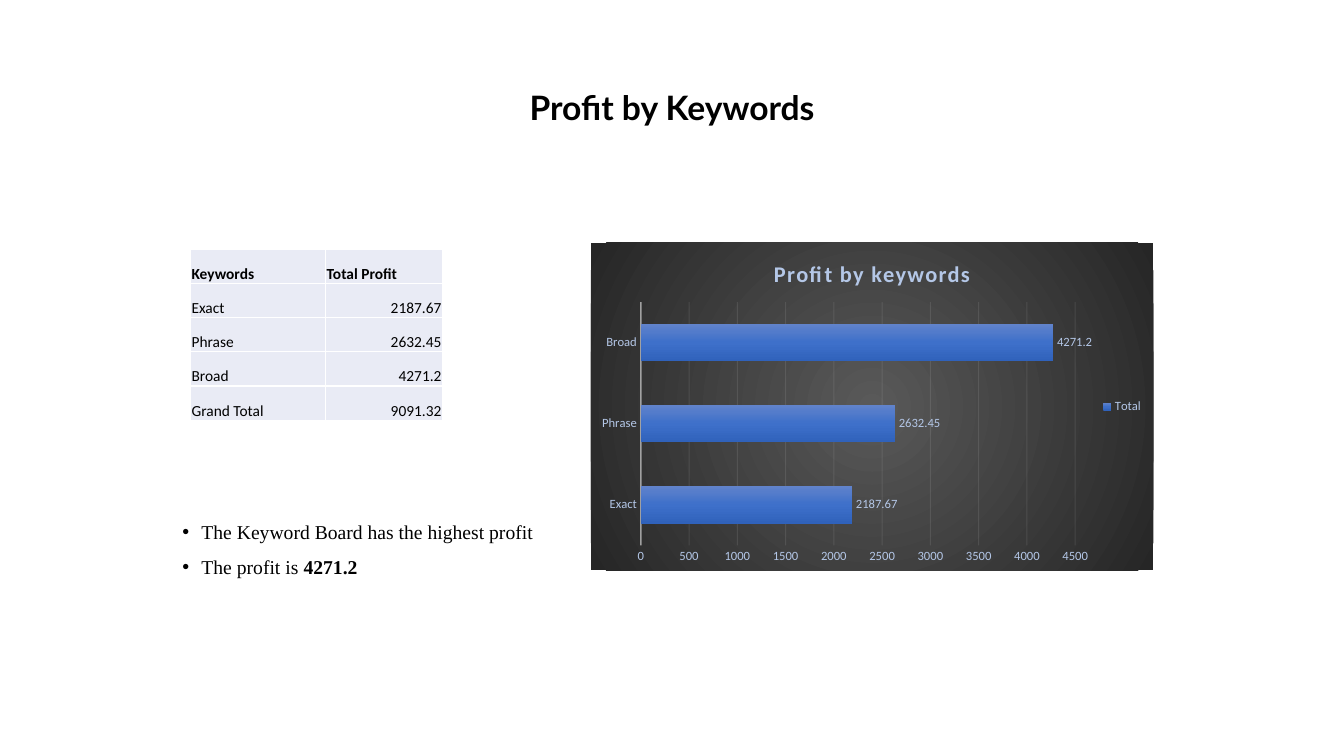
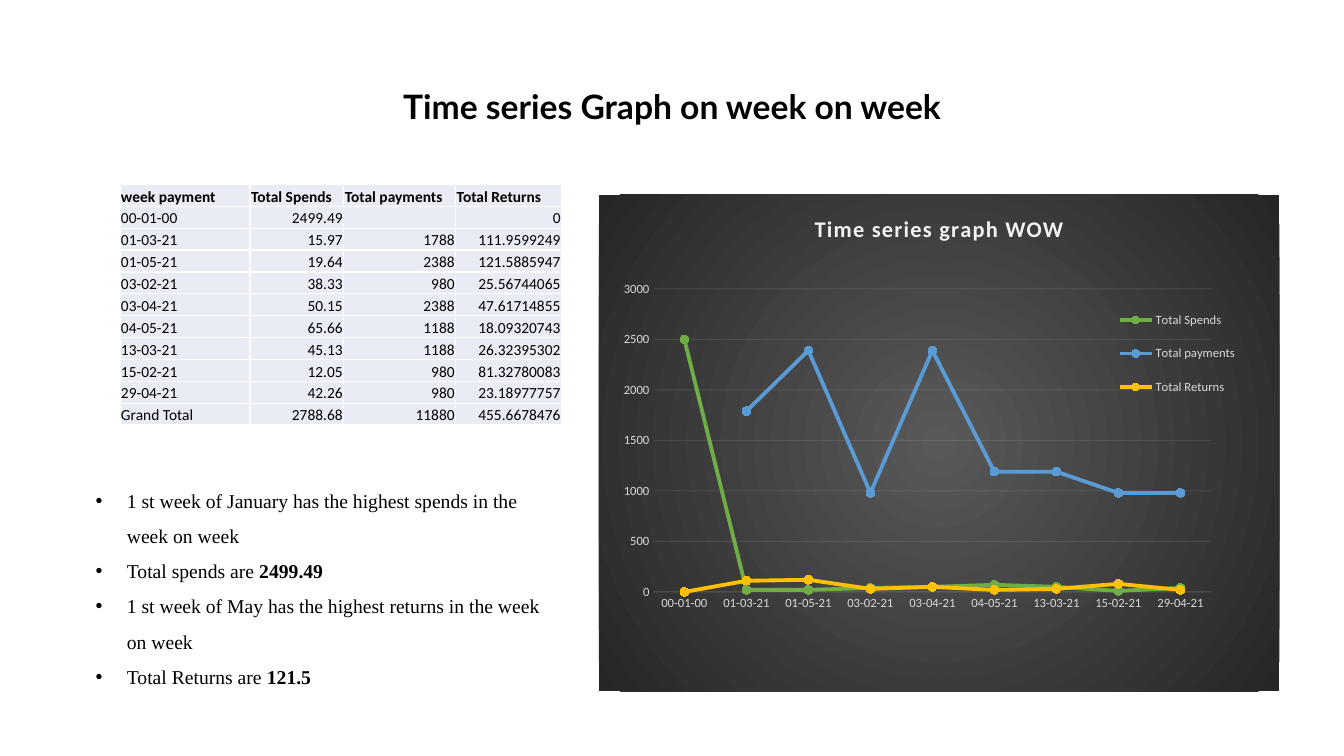
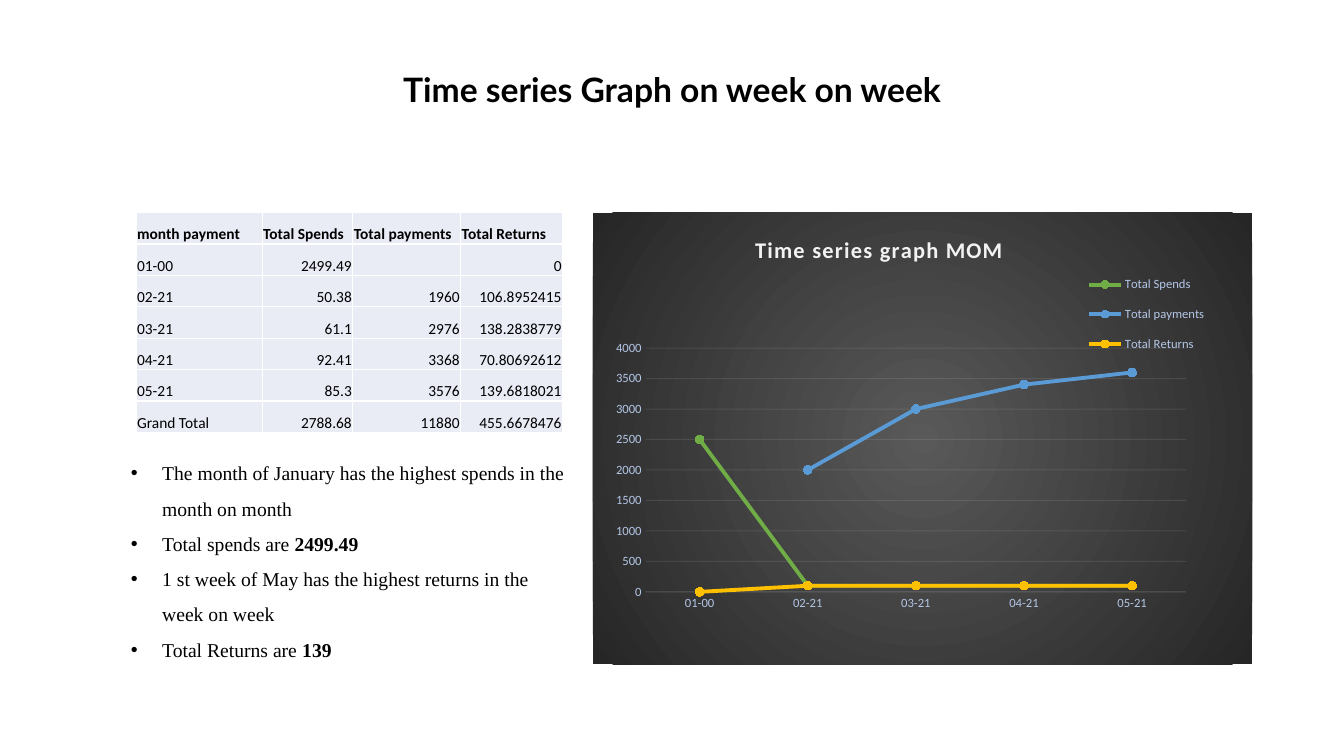
from lxml.etree import SubElement
from pptx import Presentation
from pptx.chart.data import CategoryChartData
from pptx.dml.color import RGBColor
from pptx.enum.chart import XL_CHART_TYPE as CT, XL_LABEL_POSITION as LP
from pptx.enum.chart import XL_LEGEND_POSITION as LEGEND, XL_MARKER_STYLE as MARKER
from pptx.enum.chart import XL_TICK_MARK as TICK
from pptx.enum.text import MSO_ANCHOR as ANCHOR, PP_ALIGN as ALIGN
from pptx.oxml import parse_xml
from pptx.oxml.ns import nsdecls, qn
from pptx.util import Inches, Pt

COLORS = {
    "text": "000000", "cell": "E9EBF5", "border": "FFFFFF", "pale": "F2F2F2",
    "grey": "D9D9D9", "blue": "B4C7E7",
}
BACKDROP = [(0, "595959"), (100, "262626")]
BAR_STOPS = [(0, "6183CB"), (50, "3E70CA"), (100, "3062BB")]
LINE_COLORS = [("70AD47", "6FB242"), ("5B9BD5", "559BDB"), ("FFC000", "FFC000")]
CENTRE = '<a:path path="circle"><a:fillToRect l="50000" t="50000" r="50000" b="50000"/></a:path>'
DOWNWARD = '<a:lin ang="5400000" scaled="0"/>'

KEYWORDS = [
    ("Keywords", "Total Profit"),
    ("Exact", 2187.67),
    ("Phrase", 2632.45),
    ("Broad", 4271.2),
    ("Grand Total", 9091.32),
]
TOTALS = ("Total Spends", "Total payments", "Total Returns")
GRAND_TOTAL = ("Grand Total", 2788.68, 11880, 455.6678476)
WEEKS = [
    ("week payment", *TOTALS),
    ("00-01-00", 2499.49, None, 0),
    ("01-03-21", 15.97, 1788, 111.9599249),
    ("01-05-21", 19.64, 2388, 121.5885947),
    ("03-02-21", 38.33, 980, 25.56744065),
    ("03-04-21", 50.15, 2388, 47.61714855),
    ("04-05-21", 65.66, 1188, 18.09320743),
    ("13-03-21", 45.13, 1188, 26.32395302),
    ("15-02-21", 12.05, 980, 81.32780083),
    ("29-04-21", 42.26, 980, 23.18977757),
    GRAND_TOTAL,
]
MONTHS = [
    ("month payment", *TOTALS),
    ("01-00", 2499.49, None, 0),
    ("02-21", 50.38, 1960, 106.8952415),
    ("03-21", 61.1, 2976, 138.2838779),
    ("04-21", 92.41, 3368, 70.80692612),
    ("05-21", 85.3, 3576, 139.6818021),
    GRAND_TOTAL,
]


def rgb(name):
    return RGBColor.from_string(COLORS.get(name, name))


def gradient(stops, direction):
    gs = "".join(f'<a:gs pos="{pos * 1000}"><a:srgbClr val="{color}"/></a:gs>'
                 for pos, color in stops)
    return parse_xml(f'<a:gradFill {nsdecls("a")} rotWithShape="1">'
                     f'<a:gsLst>{gs}</a:gsLst>{direction}</a:gradFill>')


def place(element, index, box, inner=False):
    """Give a chart part a manual layout, as fractions of the chart."""
    for old in element.findall(qn("c:layout")):
        element.remove(old)
    target = '<c:layoutTarget val="inner"/>' if inner else ""
    modes = "".join(f'<c:{k}Mode val="edge"/>' for k in "xy")
    values = "".join(f'<c:{k} val="{v}"/>' for k, v in zip("xywh", box))
    element.insert(index, parse_xml(
        f'<c:layout {nsdecls("c")}><c:manualLayout>{target}{modes}{values}'
        '</c:manualLayout></c:layout>'))


class Deck:
    def __init__(self):
        self.prs = Presentation()
        self.prs.slide_width, self.prs.slide_height = Inches(13.33), Inches(7.5)
        self.s = None

    def slide(self, title, top, height):
        self.s = self.prs.slides.add_slide(self.prs.slide_layouts[6])
        tf = self.textbox(0.92, top, 11.49, height)
        tf.vertical_anchor = ANCHOR.MIDDLE
        p = tf.paragraphs[0]
        p.alignment, p.line_spacing = ALIGN.CENTER, 0.9
        self.run(p, title, 24, "Lato", bold=True)

    def textbox(self, *box):
        tf = self.s.shapes.add_textbox(*map(Inches, box)).text_frame
        tf.word_wrap = True
        return tf

    def font(self, font, size, name="Calibri", color="text", bold=False):
        font.size, font.name, font.bold = Pt(size), name, bold
        font.color.rgb = rgb(color)

    def run(self, p, text, size, name="Calibri", color="text", bold=False):
        r = p.add_run()
        r.text = text
        self.font(r.font, size, name, color, bold)
        return r

    def bullets(self, box, indent, items):
        """Write bullets from (plain text, bold ending) pairs."""
        tf = self.textbox(*box)
        for i, (plain, strong) in enumerate(items):
            p = tf.add_paragraph() if i else tf.paragraphs[0]
            p.line_spacing = 1.5
            pPr = p._p.get_or_add_pPr()
            pPr.set("marL", str(Inches(indent)))
            pPr.set("indent", str(-Inches(indent)))
            SubElement(pPr, qn("a:buFont"), typeface="Arial")
            SubElement(pPr, qn("a:buChar"), char="•")
            self.run(p, plain, 14, "Times New Roman")
            if strong:
                self.run(p, strong, 14, "Times New Roman", bold=True)

    def table(self, left, top, widths, height, rows):
        table = self.s.shapes.add_table(
            len(rows), len(widths), Inches(left), Inches(top),
            Inches(sum(widths)), Inches(height)).table
        table.first_row = table.horz_banding = False
        for column, width in zip(table.columns, widths):
            column.width = Inches(width)
        for i, values in enumerate(rows):
            table.rows[i].height = Inches(height / len(rows))
            for j, value in enumerate(values):
                self.cell(table.cell(i, j), value, header=i == 0)

    def cell(self, cell, value, header):
        cell.margin_left = cell.margin_right = cell.margin_top = Inches(0.01)
        cell.margin_bottom = 0
        cell.vertical_anchor = ANCHOR.BOTTOM
        cell.fill.solid()
        cell.fill.fore_color.rgb = rgb("cell")
        for i, side in enumerate("LRTB"):
            cell._tc.get_or_add_tcPr().insert(i, parse_xml(
                f'<a:ln{side} {nsdecls("a")} w="12700"><a:solidFill>'
                f'<a:srgbClr val="{COLORS["border"]}"/></a:solidFill></a:ln{side}>'))
        p = cell.text_frame.paragraphs[0]
        if value is None:
            SubElement(p._p, qn("a:endParaRPr"), sz="1100")
            return
        if not isinstance(value, str):
            p.alignment = ALIGN.RIGHT
        self.run(p, str(value), 11, bold=header)

    def chart(self, kind, box, title, rows, names, digits, color, title_color):
        """Chart the rounded table rows between the header and the grand total."""
        data = CategoryChartData()
        labels, *columns = zip(*rows[1:-1])
        data.categories = labels
        for name, values in zip(names, columns):
            data.add_series(name, [None if v is None else round(v, digits) for v in values])
        chart = self.s.shapes.add_chart(kind, *map(Inches, box), data).chart
        self.font(chart.font, 10)
        spPr = parse_xml(f'<c:spPr {nsdecls("c", "a")}><a:ln><a:noFill/></a:ln></c:spPr>')
        spPr.insert(0, gradient(BACKDROP, CENTRE))
        chart._chartSpace.find(qn("c:chart")).addnext(spPr)

        chart.has_title = True
        p = chart.chart_title.text_frame.paragraphs[0]
        r = self.run(p, title, 16, color=title_color, bold=True)
        r._r.get_or_add_rPr().set("spc", "100")
        chart.has_legend = True
        chart.legend.position = LEGEND.RIGHT
        chart.legend.include_in_layout = False
        self.font(chart.legend.font, 9, color=color)
        self.axes(chart, color, bars=kind == CT.BAR_CLUSTERED)
        return chart

    def axes(self, chart, color, bars):
        category, value = chart.category_axis, chart.value_axis
        category.has_major_gridlines, value.has_major_gridlines = False, True
        value.format.line.fill.background()
        lines = [(category, category.format.line, 1 if bars else 0.75, 54 if bars else 10),
                 (value, value.major_gridlines.format.line, 0.75, 10)]
        for axis, line, width, opacity in lines:
            axis.major_tick_mark = axis.minor_tick_mark = TICK.NONE
            self.font(axis.tick_labels.font, 9, color=color)
            line.width = Pt(width)
            line.color.rgb = rgb("pale")
            for clr in axis._element.xpath(".//a:ln//a:srgbClr"):
                SubElement(clr, qn("a:alpha"), val=str(opacity * 1000))

    def bar_chart(self, box, title, rows):
        chart = self.chart(CT.BAR_CLUSTERED, box, title, rows, ["Total"], 2, "blue", "blue")
        plot = chart.plots[0]
        plot.gap_width, plot.overlap, plot.vary_by_categories = 115, -20, False
        plot.series[0]._element.get_or_add_spPr().insert(0, gradient(BAR_STOPS, DOWNWARD))
        plot.has_data_labels = True
        labels = plot.data_labels
        labels.show_value, labels.position = True, LP.OUTSIDE_END
        self.font(labels.font, 9, color="blue")

    def line_chart(self, box, title, rows, digits, color, plot_box, legend_box, title_at=None):
        chart = self.chart(CT.LINE_MARKERS, box, title, rows, TOTALS, digits, color, "pale")
        chart.plots[0].vary_by_categories = False
        for series, (line, fill) in zip(chart.plots[0].series, LINE_COLORS):
            series.smooth = False
            series.format.line.width = Pt(2.75)
            series.format.line.color.rgb = rgb(line)
            marker = series.marker
            marker.style, marker.size = MARKER.CIRCLE, 6
            marker.format.fill.solid()
            marker.format.fill.fore_color.rgb = rgb(fill)
            marker.format.line.color.rgb = rgb(line)
        place(chart._chartSpace.xpath(".//c:plotArea")[0], 0, plot_box, inner=True)
        place(chart.legend._element, 1, legend_box)
        if title_at:
            place(chart._chartSpace.xpath("./c:chart/c:title")[0], 1, title_at)


def main():
    deck = Deck()

    deck.slide("Profit by Keywords", 0.54, 1.1)
    deck.bar_chart((5.86, 2.41, 5.58, 3.25), "Profit by keywords", KEYWORDS)
    deck.table(1.89, 2.47, [1.34, 1.16], 1.7, KEYWORDS)
    deck.bullets((1.71, 4.99, 3.84, 0.77), 0.19, [
        ("The Keyword Board has the highest profit", ""),
        ("The profit is ", "4271.2"),
    ])

    returns = ("1 st week of May has the highest returns in the week on week", "")
    spends = ("Total spends are ", "2499.49")

    deck.slide("Time series Graph on week on week", 0.53, 1.1)
    deck.table(1.19, 1.83, [1.29, 0.93, 1.11, 1.05], 2.39, WEEKS)
    deck.line_chart((5.94, 1.93, 6.75, 4.93), "Time series graph WOW", WEEKS, -1, "grey",
                    (0.08, 0.19, 0.82, 0.61), (0.76, 0.2, 0.18, 0.24))
    deck.bullets((0.85, 4.68, 4.71, 2.18), 0.31, [
        ("1 st week of January has the highest spends in the week on week", ""),
        spends, returns, ("Total Returns are ", "121.5"),
    ])

    deck.slide("Time series Graph on week on week", 0.18, 1.45)
    deck.table(1.35, 2.11, [1.25, 0.9, 1.07, 1.01], 2.18, MONTHS)
    deck.line_chart((5.88, 2.11, 6.54, 4.48), "Time series graph MOM", MONTHS, -2, "blue",
                    (0.08, 0.3, 0.82, 0.54), (0.74, 0.11, 0.2, 0.23), (0.24, 0.04))
    deck.bullets((1.2, 4.41, 4.55, 2.18), 0.31, [
        ("The month of January has the highest spends in the month on month", ""),
        spends, returns, ("Total Returns are ", "139"),
    ])

    deck.prs.save("out.pptx")


if __name__ == "__main__":
    main()
